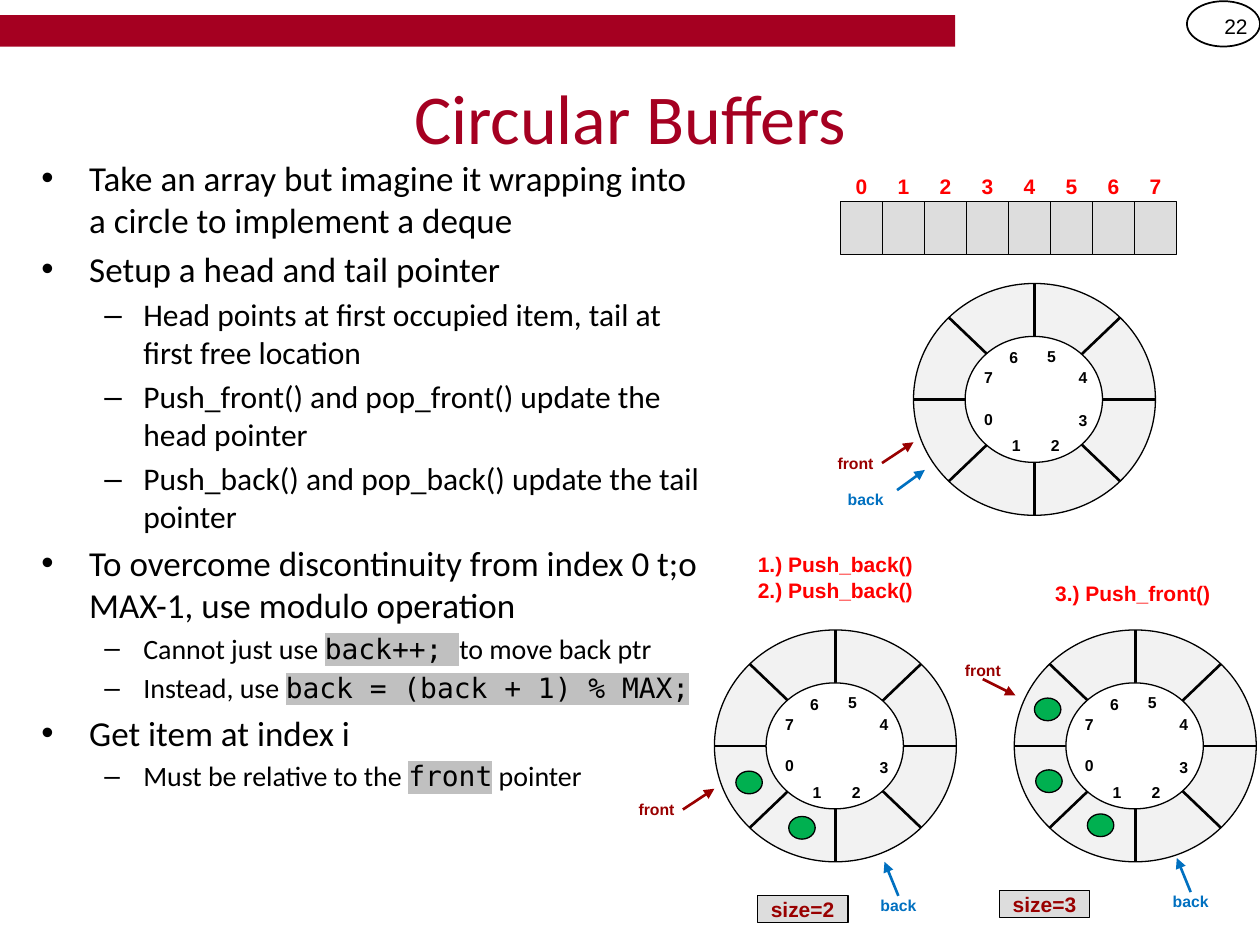
import pptx
import pptx.util
import pptx.dml.color
import pptx.enum.shapes
import pptx.enum.text
import pptx.oxml.ns
from lxml import etree

Inches = pptx.util.Inches
Pt = pptx.util.Pt
SHAPE = pptx.enum.shapes.MSO_SHAPE
ALIGN = pptx.enum.text.PP_ALIGN
ANCHOR = pptx.enum.text.MSO_ANCHOR
qn = pptx.oxml.ns.qn

COLORS = {
    "black": "000000", "white": "FFFFFF", "cardinal": "A50021",
    "front": "990000", "back": "0070C0", "label": "FF0000",
    "cell": "DDDDDD", "ring": "F2F2F2", "item": "00B050", "code": "C0C0C0",
}
CODE_FONT = "DejaVu Sans Mono"

# Body outline: (level, size, runs); a run marked True is code
OUTLINE = [
    (0, 20, [("Take an array but imagine it wrapping into a circle to implement a deque", False)]),
    (0, 20, [("Setup a head and tail pointer", False)]),
    (1, 18, [("Head points at first occupied item, tail at first free location", False)]),
    (1, 18, [("Push_front() and pop_front() update the head pointer", False)]),
    (1, 18, [("Push_back() and pop_back() update the tail pointer", False)]),
    (0, 20, [("To overcome discontinuity from index 0 t;o MAX-1, use modulo operation", False)]),
    (1, 16, [("Cannot just use ", False), ("back++; ", True), ("to move back ptr", False)]),
    (1, 16, [("Instead, use ", False), ("back = (back + 1) % MAX;", True)]),
    (0, 20, [("Get item at index i", False)]),
    (1, 16, [("Must be relative to the ", False), ("front", True), (" pointer", False)]),
]
BULLETS = [("•", 0.38, -0.38), ("–", 0.81, -0.31)]  # mark, margin, indent

# Wheel geometry, measured from the wheel's left top corner
WHEEL_W, WHEEL_H = 1.92, 1.84
SLOT_LABELS = [(0.5, 1.0), (0.72, 1.21), (1.03, 1.21), (1.25, 1.01),
               (1.25, 0.67), (1.0, 0.5), (0.7, 0.51), (0.5, 0.67)]


def rgb(name):
    return pptx.dml.color.RGBColor.from_string(COLORS[name])


def style_run(run, size, font, color, bold=False, highlight=None):
    run.font.size = Pt(size)
    run.font.bold = bold
    run.font.color.rgb = rgb(color)
    if highlight:
        mark = etree.SubElement(run._r.get_or_add_rPr(), qn("a:highlight"))
        etree.SubElement(mark, qn("a:srgbClr"), val=COLORS[highlight])
    run.font.name = font


def write(frame, text, size=12, font="Arial", color="black", bold=True,
          align=ALIGN.CENTER, wrap=False, inset=0):
    frame.word_wrap = wrap
    frame.vertical_anchor = ANCHOR.MIDDLE
    frame.margin_left = frame.margin_right = Inches(inset)
    frame.margin_top = frame.margin_bottom = 0
    for i, line in enumerate(text.split("\n")):
        paragraph = frame.paragraphs[0] if i == 0 else frame.add_paragraph()
        paragraph.alignment = align
        run = paragraph.add_run()
        run.text = line
        style_run(run, size, font, color, bold)


def add_label(shapes, text, x, y, w, h, **text_format):
    label = shapes.add_textbox(Inches(x), Inches(y), Inches(w), Inches(h))
    write(label.text_frame, text, **text_format)
    return label


def add_block(shapes, kind, x, y, w, h, fill=None, line="black", width=0.75):
    block = shapes.add_shape(kind, Inches(x), Inches(y), Inches(w), Inches(h))
    block.shadow.inherit = False
    if fill:
        block.fill.solid()
        block.fill.fore_color.rgb = rgb(fill)
    else:
        block.fill.background()
    if line:
        block.line.color.rgb = rgb(line)
        block.line.width = Pt(width)
    else:
        block.line.fill.background()
    return block


def add_line(shapes, start, end, color="black", arrow=False):
    line = shapes.add_connector(pptx.enum.shapes.MSO_CONNECTOR.STRAIGHT,
                                *(Inches(v) for v in (*start, *end)))
    line.line.color.rgb = rgb(color)
    line.line.width = Pt(1.5)
    if arrow:
        etree.SubElement(line.line._get_or_add_ln(), qn("a:tailEnd"), type="triangle")
    etree.SubElement(line._element.spPr, qn("a:effectLst"))
    return line


def add_outline(shapes):
    body = shapes.add_textbox(Inches(0.23), Inches(1.19), Inches(5.44), Inches(6.3))
    frame = body.text_frame
    frame.word_wrap = True
    for i, (level, size, runs) in enumerate(OUTLINE):
        paragraph = frame.paragraphs[0] if i == 0 else frame.add_paragraph()
        mark, margin, indent = BULLETS[level]
        props = paragraph._p.get_or_add_pPr()
        props.set("marL", str(Inches(margin)))
        props.set("indent", str(Inches(indent)))
        etree.SubElement(props, qn("a:buFont"), typeface="Arial")
        etree.SubElement(props, qn("a:buChar"), char=mark)
        paragraph.level = level
        if i:
            paragraph.space_before = Pt(size * 0.2)
        for text, is_code in runs:
            run = paragraph.add_run()
            run.text = text
            style_run(run, size, CODE_FONT if is_code else "Calibri", "black",
                      highlight="code" if is_code else None)


def add_array(shapes, left=6.67, top=1.6, count=8, pitch=1 / 3):
    for index in range(count):
        x = left + index * pitch
        add_block(shapes, SHAPE.RECTANGLE, x, top, pitch, 0.42, fill="cell")
        add_label(shapes, str(index), x, top - 0.25, pitch, 0.25, color="label")


def add_wheel(shapes, left, top):
    wheel = shapes.add_group_shape().shapes
    add_block(wheel, SHAPE.OVAL, left, top, WHEEL_W, WHEEL_H, fill="ring")
    # Spokes through the centre, then the hub over them
    mid_x, mid_y = left + WHEEL_W / 2, top + WHEEL_H / 2
    for dx, dy in [(0, 0.92), (0.96, 0), (0.68, 0.65), (0.68, -0.65)]:
        add_line(wheel, (mid_x - dx, mid_y - dy), (mid_x + dx, mid_y + dy))
    add_block(wheel, SHAPE.OVAL, left + 0.41, top + 0.42, 1.09, 1, fill="white")
    for index, (dx, dy) in enumerate(SLOT_LABELS):
        add_label(wheel, str(index), left + dx, top + dy, 0.19, 0.15, size=9, wrap=True)


def add_pointer(shapes, name, x, y, tip, side=None, start=(0, 0)):
    """Label with an arrow to tip, from a side of the label or a free start."""
    width = {"front": 0.42, "back": 0.48}[name]
    label = add_label(shapes, name, x, y, width, 0.15, size=9, color=name, wrap=True)
    arrow = add_line(shapes, start, tip, color=name, arrow=True)
    if side is not None:
        arrow.begin_connect(label, side)


def add_size_tag(shapes, text, x, y):
    tag = add_block(shapes, SHAPE.RECTANGLE, x, y, 0.72, 0.21, fill="cell")
    write(tag.text_frame, text, color="front")


def main():
    deck = pptx.Presentation()
    deck.slide_width, deck.slide_height = Inches(10), Inches(7.5)
    shapes = deck.slides.add_slide(deck.slide_layouts[6]).shapes

    # Header band, page number and title
    add_block(shapes, SHAPE.RECTANGLE, 0, 0.12, 7.58, 0.25, fill="cardinal", line=None)
    add_block(shapes, SHAPE.OVAL, 9.42, 0.01, 0.58, 0.36, width=1)
    add_label(shapes, "22", 9.42, 0.01, 0.58, 0.4, bold=False,
              align=ALIGN.RIGHT, wrap=True, inset=0.1)
    add_label(shapes, "Circular Buffers", 0.5, 0.3, 9, 1.25, size=40,
              font="Calibri", color="cardinal", bold=False, wrap=True)

    add_outline(shapes)
    add_array(shapes)

    # Empty buffer
    add_wheel(shapes, 7.25, 2.25)
    add_pointer(shapes, "front", 6.58, 3.6, (7.25, 3.51), side=3)
    add_pointer(shapes, "back", 6.63, 3.89, (7.34, 3.73), start=(7.12, 3.89))

    # After two pushes at the back
    add_label(shapes, "1.) Push_back()\n2.) Push_back()", 5.84, 4.33, 1.58, 0.5, color="label")
    add_wheel(shapes, 5.67, 5)
    add_pointer(shapes, "front", 5, 6.35, (5.67, 6.26), side=3)
    add_pointer(shapes, "back", 6.89, 7.11, (7.02, 6.84), side=0)
    add_size_tag(shapes, "size=2", 6.01, 7.11)

    # After one more push at the front
    add_label(shapes, "3.) Push_front()", 8.2, 4.58, 1.58, 0.25, color="label")
    add_wheel(shapes, 8.05, 5)
    add_pointer(shapes, "front", 7.59, 5.24, (8.06, 5.52), side=2)
    add_pointer(shapes, "back", 9.21, 7.08, (9.34, 6.81), side=0)
    add_size_tag(shapes, "size=3", 7.93, 7.07)

    # Stored items
    for x, y in [(5.84, 6.12), (6.26, 6.48), (8.22, 6.11), (8.21, 5.54), (8.63, 6.46)]:
        add_block(shapes, SHAPE.OVAL, x, y, 0.21, 0.18, fill="item")

    deck.save("out.pptx")


if __name__ == "__main__":
    main()
